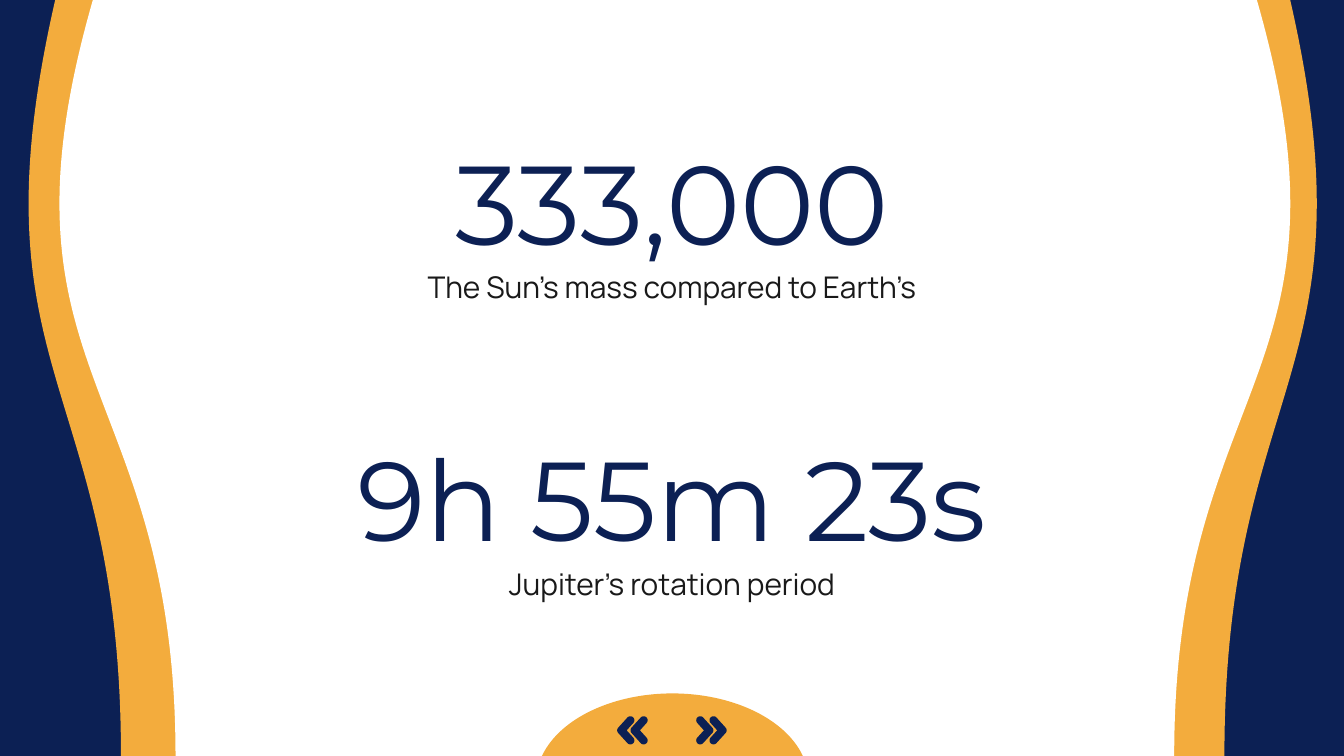
from dataclasses import dataclass
from math import atan2, cos, pi, sin

from pptx import Presentation
from pptx.dml.color import RGBColor
from pptx.enum.shapes import MSO_SHAPE
from pptx.enum.text import MSO_ANCHOR, MSO_AUTO_SIZE, PP_ALIGN
from pptx.shapes.autoshape import Shape
from pptx.shapes.shapetree import GroupShapes
from pptx.slide import Slide
from pptx.util import Pt

COLOURS = {"navy": "0C2054", "amber": "F3AC3D", "white": "FFFFFF", "ink": "191919"}
WIDTH, HEIGHT = 720, 405
CENTRE = WIDTH / 2
FIGURE_FONT = {"name": "Montserrat", "size": Pt(60), "bold": False}
CAPTION_FONT = {"name": "Manrope", "size": Pt(16), "bold": False}
FRAME_FORMAT = {
    "word_wrap": True,
    "auto_size": MSO_AUTO_SIZE.NONE,
    "vertical_anchor": MSO_ANCHOR.MIDDLE,
    "margin_left": Pt(7.2),
    "margin_right": Pt(7.2),
    "margin_top": Pt(7.2),
    "margin_bottom": Pt(7.2),
}


@dataclass
class Wave:
    centre_x: float
    depth: float
    rotation: int
    flipped: bool
    colour: str


@dataclass
class Statistic:
    figure: str
    caption: str
    figure_top: float
    caption_top: float


WAVES = [
    Wave(575.3, 267, 270, True, "amber"),
    Wave(527.8, 335.5, 270, True, "white"),
    Wave(145.4, 267, 90, False, "amber"),
    Wave(195.3, 335.5, 90, False, "white"),
]
STATISTICS = [
    Statistic("333,000", "The Sun’s mass compared to Earth’s", 74.9, 136.1),
    Statistic("9h 55m 23s", "Jupiter's rotation period", 233.3, 295.2),
]


def colour(name: str) -> RGBColor:
    return RGBColor.from_string(COLOURS[name])


def paint(shape: Shape, name: str) -> None:
    shape.shadow.inherit = False
    shape.fill.solid()
    shape.fill.fore_color.rgb = colour(name)
    shape.line.fill.background()


def flip(shape: Shape) -> None:
    shape.element.spPr.xfrm.set("flipH", "1")


def draw_wave(slide: Slide, wave: Wave) -> None:
    shape = slide.shapes.add_shape(
        MSO_SHAPE.FLOWCHART_DOCUMENT,
        Pt(wave.centre_x - HEIGHT / 2), Pt((HEIGHT - wave.depth) / 2),
        Pt(HEIGHT), Pt(wave.depth),
    )
    shape.rotation = wave.rotation
    if wave.flipped:
        flip(shape)
    paint(shape, wave.colour)


def write_text(shape: Shape, text: str, font_format: dict, name: str) -> None:
    frame = shape.text_frame
    for key, value in FRAME_FORMAT.items():
        setattr(frame, key, value)
    paragraph = frame.paragraphs[0]
    paragraph.text = text
    paragraph.alignment = PP_ALIGN.CENTER
    font = paragraph.runs[0].font
    for key, value in font_format.items():
        setattr(font, key, value)
    font.color.rgb = colour(name)


def draw_statistic(slide: Slide, statistic: Statistic, is_title: bool) -> None:
    left, width, height = Pt(121.5), Pt(477), Pt(65.5)
    top = Pt(statistic.figure_top)
    if is_title:
        figure = slide.shapes.title
        figure.element.getparent().append(figure.element)
        box = {"left": left, "top": top, "width": width, "height": height}
        for key, value in box.items():
            setattr(figure, key, value)
    else:
        figure = slide.shapes.add_textbox(left, top, width, height)
    write_text(figure, statistic.figure, FIGURE_FONT, "navy")
    caption = slide.shapes.add_textbox(
        Pt(193.7), Pt(statistic.caption_top), Pt(332.6), Pt(35.3)
    )
    write_text(caption, statistic.caption, CAPTION_FONT, "ink")


def draw_dome(slide: Slide) -> None:
    dome = slide.shapes.add_shape(
        MSO_SHAPE.PIE, Pt(287.2), Pt(371.5), Pt(146), Pt(94.3)
    )
    dome.adjustments[0] = 0
    dome.adjustments[1] = 108.312
    dome.rotation = 180
    flip(dome)
    paint(dome, "amber")


def draw_chevron(shapes: GroupShapes, offset: float, direction: int) -> None:
    radius, reach, rise, middle, steps = 2.15, 4.9, 5.4, 391.3, 10
    slope = atan2(rise, reach)
    start_x = offset + radius
    tip_x = start_x + reach
    arcs = [
        (start_x, middle - rise, slope + pi / 2, pi),
        (tip_x, middle, slope - pi / 2, pi - 2 * slope),
        (start_x, middle + rise, pi / 2 - slope, pi),
    ]
    points = [
        (x + radius * cos(start + sweep * step / steps),
         y + radius * sin(start + sweep * step / steps))
        for x, y, start, sweep in arcs
        for step in range(steps + 1)
    ]
    points.append((tip_x - radius / sin(slope), middle))
    outline = [(Pt(CENTRE + direction * x), Pt(y)) for x, y in points]
    builder = shapes.build_freeform(*outline[0])
    builder.add_line_segments(outline[1:], close=True)
    paint(builder.convert_to_shape(), "navy")


def main() -> None:
    presentation = Presentation()
    presentation.slide_width, presentation.slide_height = Pt(WIDTH), Pt(HEIGHT)
    slide = presentation.slides.add_slide(presentation.slide_layouts[5])
    slide.background.fill.solid()
    slide.background.fill.fore_color.rgb = colour("navy")
    for wave in WAVES:
        draw_wave(slide, wave)
    for index, statistic in enumerate(STATISTICS):
        draw_statistic(slide, statistic, is_title=index == 0)
    draw_dome(slide)
    for direction in (1, -1):
        arrow = slide.shapes.add_group_shape()
        for offset in (13, 20.1):
            draw_chevron(arrow.shapes, offset, direction)
    presentation.save("out.pptx")


if __name__ == "__main__":
    main()
